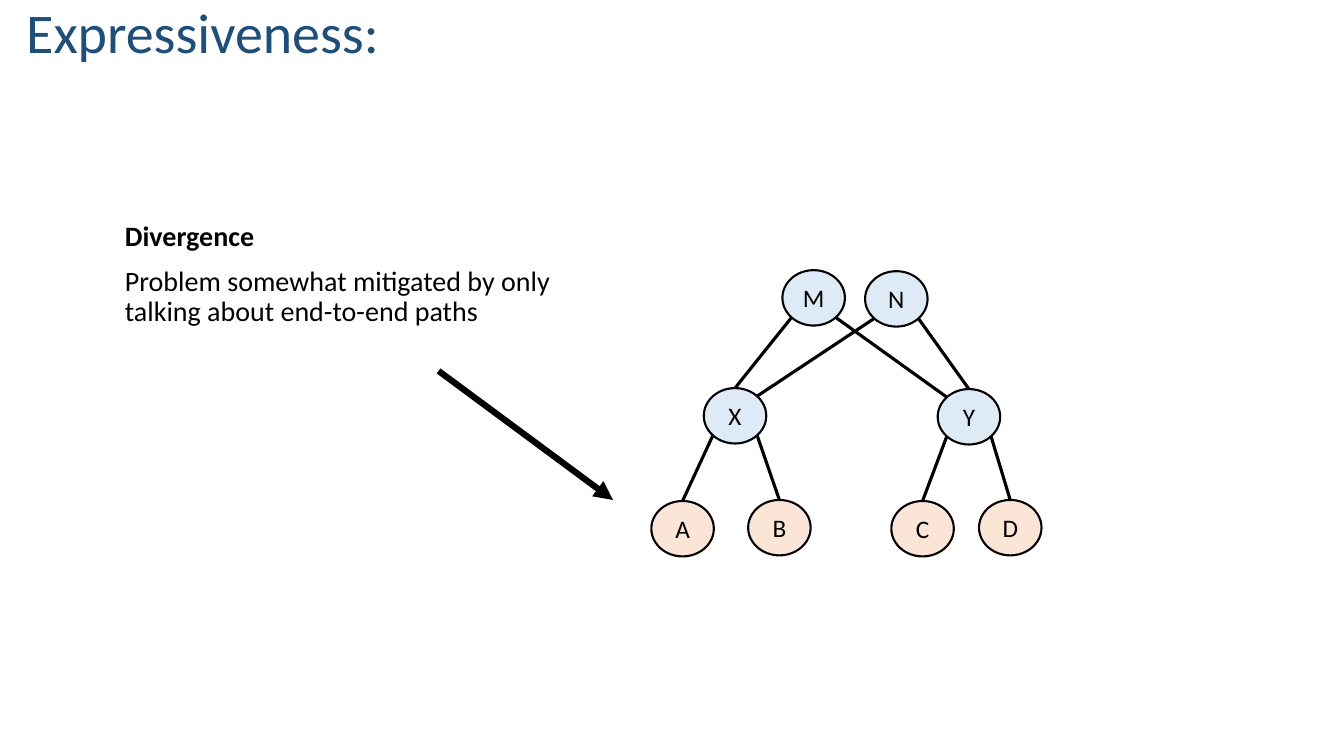
from math import sqrt

from pptx import Presentation
from pptx.dml.color import RGBColor
from pptx.enum.shapes import MSO_CONNECTOR as CONN, MSO_SHAPE as SHAPE
from pptx.enum.text import MSO_ANCHOR as ANCHOR, MSO_AUTO_SIZE as FIT, PP_ALIGN as ALIGN
from pptx.oxml.ns import qn
from pptx.util import Inches, Pt
from lxml.etree import SubElement

BLACK = RGBColor(0x00, 0x00, 0x00)
NAVY = RGBColor(0x1F, 0x4E, 0x79)
PALE_BLUE = RGBColor(0xDE, 0xEB, 0xF7)
PALE_ORANGE = RGBColor(0xFB, 0xE5, 0xD6)

NODE_W, NODE_H = 0.62, 0.55


class SlideBuilder:
    font = "Calibri"

    def __init__(self, prs):
        self.s = prs.slides.add_slide(prs.slide_layouts[5])

    def style(self, p, size, color=BLACK, bold=False, align=ALIGN.LEFT):
        p.alignment = align
        for r in p.runs:
            f = r.font
            f.name, f.size, f.bold = self.font, Pt(size), bold
            f.color.rgb = color

    def title(self, text, x, y, w, h):
        sp = self.s.shapes.title
        sp.left, sp.top, sp.width, sp.height = map(Inches, (x, y, w, h))
        tf = sp.text_frame
        tf.text = text
        tf.auto_size = FIT.NONE
        tf.vertical_anchor = ANCHOR.BOTTOM
        p = tf.paragraphs[0]
        p.line_spacing = 0.9
        self.style(p, 40, NAVY)

    def body(self, heading, text, x, y, w, h):
        tf = self.s.shapes.add_textbox(*map(Inches, (x, y, w, h))).text_frame
        tf.word_wrap = True
        tf.text = heading
        tf.add_paragraph().text = text
        for p, bold in zip(tf.paragraphs, (True, False)):
            p.line_spacing, p.space_before = 0.9, Pt(10)
            self.style(p, 20, bold=bold)

    def node(self, label, x, y, fill):
        sp = self.s.shapes.add_shape(SHAPE.OVAL, *map(Inches, (x, y, NODE_W, NODE_H)))
        sp.shadow.inherit = False
        sp.fill.solid()
        sp.fill.fore_color.rgb = fill
        sp.line.color.rgb = BLACK
        sp.line.width = Pt(1.5)
        tf = sp.text_frame
        tf.margin_left = tf.margin_right = tf.margin_top = tf.margin_bottom = 0
        tf.word_wrap = False
        tf.vertical_anchor = ANCHOR.MIDDLE
        tf.text = label
        self.style(tf.paragraphs[0], 18, align=ALIGN.CENTER)

    def line(self, start, end, width=2.25, arrow=False):
        cx = self.s.shapes.add_connector(CONN.STRAIGHT, *map(Inches, (*start, *end)))
        cx.line.color.rgb = BLACK
        cx.line.width = Pt(width)
        if arrow:
            SubElement(cx.line._get_or_add_ln(), qn("a:tailEnd"), type="triangle")
        SubElement(cx._element.spPr, qn("a:effectLst"))


def rim(node, dx, dy):
    """Point on a node's outline in direction (dx, dy), each -1, 0 or 1."""
    x, y, _ = node
    k = 1 / sqrt(dx * dx + dy * dy)
    return x + NODE_W / 2 * (1 + k * dx), y + NODE_H / 2 * (1 + k * dy)


def main():
    prs = Presentation()
    prs.slide_width, prs.slide_height = Inches(13.33), Inches(7.5)
    b = SlideBuilder(prs)

    # Title and explanation
    b.title("Expressiveness:", 0.16, -0.23, 8.9, 0.93)
    b.body("Divergence",
           "Problem somewhat mitigated by only talking about end-to-end paths",
           1.14, 2.16, 4.79, 1.35)

    # Network nodes: left, top, fill
    nodes = {
        "M": (7.76, 2.68, PALE_BLUE), "N": (8.58, 2.69, PALE_BLUE),
        "X": (6.98, 3.85, PALE_BLUE), "Y": (9.3, 3.86, PALE_BLUE),
        "A": (6.46, 4.97, PALE_ORANGE), "B": (7.42, 4.96, PALE_ORANGE),
        "C": (8.84, 4.97, PALE_ORANGE), "D": (9.71, 4.96, PALE_ORANGE),
    }
    for label, place in nodes.items():
        b.node(label, *place)

    # Links: parent, child, side the parent is left from, side the child is met on
    links = [("M", "X", -1, 0), ("M", "Y", 1, -1), ("N", "X", -1, 1), ("N", "Y", 1, 0),
             ("X", "A", -1, 0), ("X", "B", 1, 0), ("Y", "C", -1, 0), ("Y", "D", 1, 0)]
    for parent, child, out, into in links:
        b.line(rim(nodes[parent], out, 1), rim(nodes[child], into, -1))

    # Arrow from the explanation to the network
    b.line((4.35, 3.68), (6.08, 4.96), width=4.5, arrow=True)

    prs.save("out.pptx")


if __name__ == "__main__":
    main()
